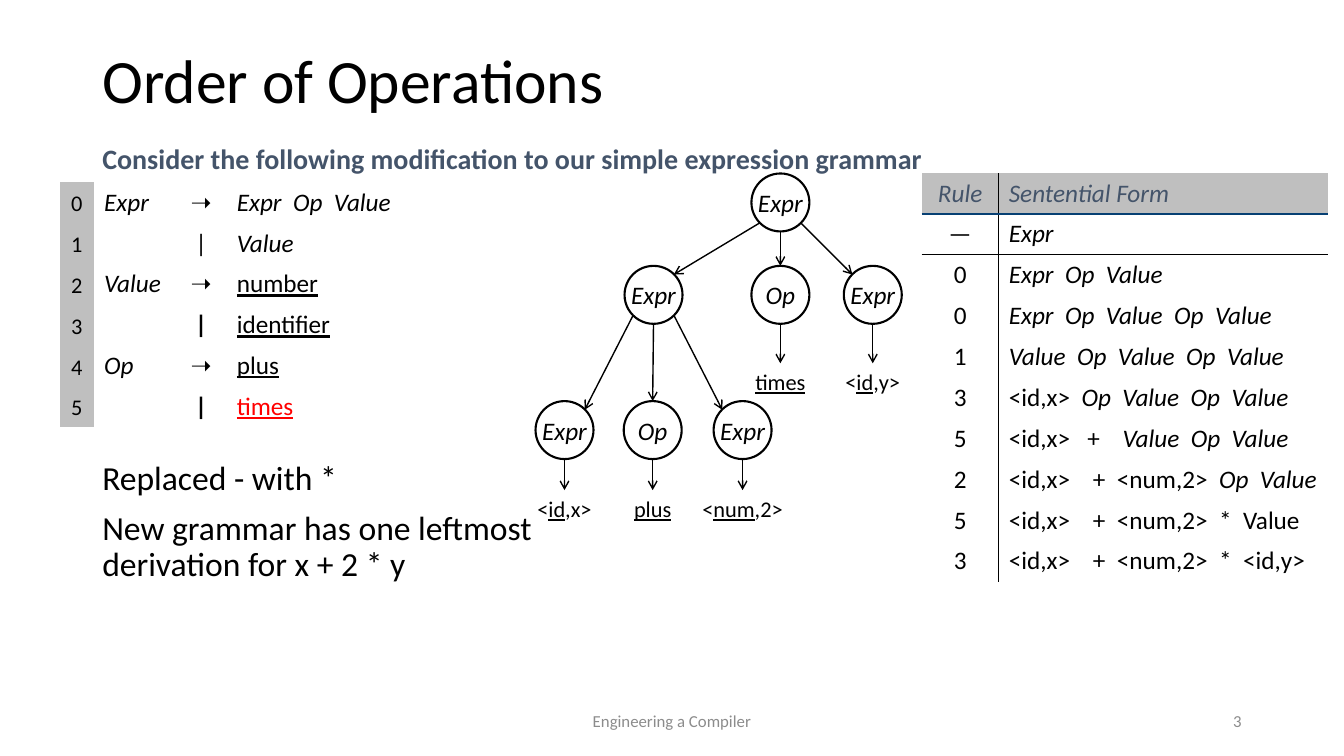
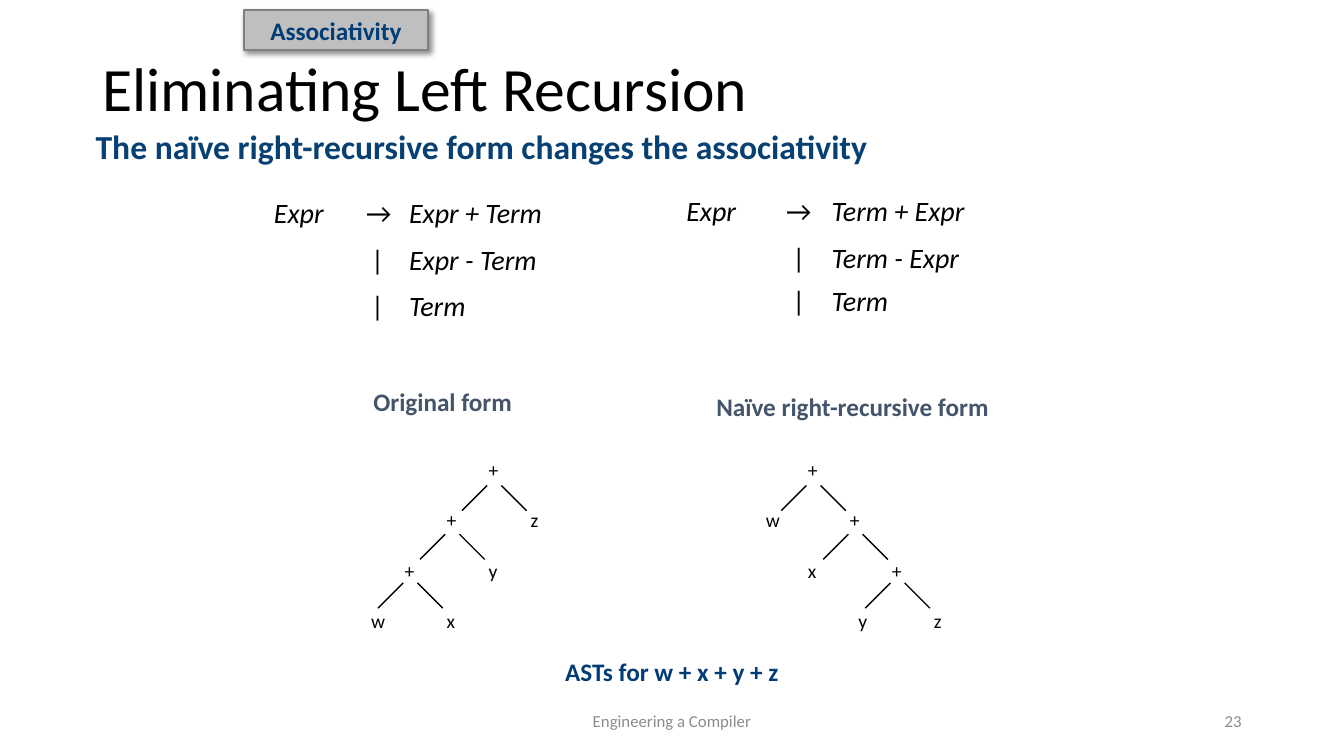
from dataclasses import dataclass
from itertools import groupby

from lxml import etree
from pptx import Presentation
from pptx.dml.color import RGBColor
from pptx.enum.shapes import MSO_CONNECTOR, MSO_SHAPE
from pptx.enum.text import MSO_ANCHOR, PP_ALIGN
from pptx.oxml.ns import qn
from pptx.util import Inches, Pt

LEFT, MID, RIGHT = PP_ALIGN.LEFT, PP_ALIGN.CENTER, PP_ALIGN.RIGHT
TOP, CENTER, BASE = MSO_ANCHOR.TOP, MSO_ANCHOR.MIDDLE, MSO_ANCHOR.BOTTOM
LINE = MSO_CONNECTOR.STRAIGHT
RECT, OVAL = MSO_SHAPE.RECTANGLE, MSO_SHAPE.OVAL
PLAIN = "{2D5ABB26-0587-4C30-8999-92F81FD0307C}"  # table style: no grid


@dataclass(frozen=True)
class Theme:
    font: str = "Calibri"
    ink: str = "000000"
    paper: str = "FFFFFF"
    slate: str = "44546A"
    navy: str = "003C75"
    teal: str = "074073"
    band: str = "BFBFBF"
    edge: str = "7F7F7F"
    mute: str = "8C8C8C"
    red: str = "FF0000"
    title: int = 44
    lead: int = 24
    head: int = 20
    text: int = 18
    leaf: int = 16
    tiny: int = 14
    foot: int = 12
    space: float = 0.226  # width of a space, as a share of the type size


T = Theme()


class Deck:
    """Places parts on a grid of 160 columns by 90 rows."""

    def __init__(self):
        self.prs = Presentation()
        self.prs.slide_width, self.prs.slide_height = Inches(13.333), Inches(7.5)
        self.unit = self.prs.slide_height / 90
        self.slide = None

    def grid(self, *spans):
        return [round(span * self.unit) for span in spans]

    # Slide with its title and footer
    def page(self, title, top, number):
        self.slide = self.prs.slides.add_slide(self.prs.slide_layouts[6])
        frame = self.box(11, top, 138, 17.4, CENTER)
        self.say(frame.paragraphs[0], [(title, "")], T.title, lead=0.9)
        for x, wide, text, side in ((53, 54, "Engineering a Compiler", MID),
                                    (113, 36, number, RIGHT)):
            frame = self.box(x, 83.4, wide, 4.8, CENTER)
            self.say(frame.paragraphs[0], [(text, "")], T.foot, T.mute, side)

    # Text: runs are (text, flags) or (text, flags, colour);
    # each underscore stands for one space width in a wide gap
    def say(self, para, runs, size, ink=T.ink, side=LEFT, lead=None, gap=None):
        para.alignment = side
        if lead:
            para.line_spacing = lead
        if gap is not None:
            para.space_before = Pt(gap)
        for text, flags, *tint in runs:
            for wide, chars in groupby(text, lambda char: char == "_"):
                part = "".join(chars)
                run = para.add_run()
                run.text = " " if wide else part
                font = run.font
                font.name, font.size = T.font, Pt(size)
                font.bold, font.italic = "b" in flags, "i" in flags
                font.underline = "u" in flags
                font.color.rgb = RGBColor.from_string(tint[0] if tint else ink)
                if wide:
                    extra = (len(part) - 1) * size * T.space
                    run._r.get_or_add_rPr().set("spc", str(round(extra * 100)))

    def box(self, x, y, wide, high, anchor=TOP):
        frame = self.slide.shapes.add_textbox(*self.grid(x, y, wide, high)).text_frame
        frame.word_wrap = True
        frame.vertical_anchor = anchor
        return frame

    def note(self, x, y, wide, high, runs, size, ink=T.ink, side=MID):
        self.say(self.box(x, y, wide, high).paragraphs[0], runs, size, ink, side)

    # Shapes
    def shape(self, kind, x, y, wide, high, fill, edge):
        item = self.slide.shapes.add_shape(kind, *self.grid(x, y, wide, high))
        item.shadow.inherit = False
        item.fill.solid()
        item.fill.fore_color.rgb = RGBColor.from_string(fill)
        item.line.color.rgb = RGBColor.from_string(edge)
        item.line.width = Pt(1.5)
        item.text_frame.vertical_anchor = CENTER
        return item

    def label(self, x, y, wide, text, ink, fill=T.paper, edge=T.paper):
        item = self.shape(RECT, x, y, wide, 4.8, fill, edge)
        self.say(item.text_frame.paragraphs[0], [(text, "b")], T.text, ink, MID)
        return item

    def shade(self, item):
        glow = item._element.spPr.find(qn("a:effectLst"))
        drop = etree.SubElement(glow, qn("a:outerShdw"), blurRad=str(Pt(4)),
                                dist=str(Pt(3)), dir=str(45 * 60000))
        tint = etree.SubElement(drop, qn("a:srgbClr"), val=T.ink)
        etree.SubElement(tint, qn("a:alpha"), val="43000")

    def node(self, x, y, size, text):
        item = self.shape(OVAL, x - size / 2, y - size / 2, size, size, T.paper, T.ink)
        frame = item.text_frame
        frame.word_wrap = False
        frame.margin_left = frame.margin_right = 0
        self.say(frame.paragraphs[0], [(text, "i")], T.text, side=MID)

    def line(self, x1, y1, x2, y2, arrow=False):
        item = self.slide.shapes.add_connector(LINE, *self.grid(x1, y1, x2, y2))
        item.line.color.rgb = RGBColor.from_string(T.ink)
        item.line.width = Pt(1)
        if arrow:
            etree.SubElement(item.line._get_or_add_ln(), qn("a:tailEnd"), type="arrow")
        etree.SubElement(item._element.spPr, qn("a:effectLst"))

    # Tables
    def table(self, x, y, cols, rows):
        spot = self.grid(x, y, sum(cols), sum(rows))
        grid = self.slide.shapes.add_table(len(rows), len(cols), *spot).table
        grid.first_row = grid.horz_banding = False
        grid._tbl.tblPr.find(qn("a:tableStyleId")).text = PLAIN
        for part, span in zip(grid.columns, self.grid(*cols)):
            part.width = span
        for part, span in zip(grid.rows, self.grid(*rows)):
            part.height = span
        return grid

    def cell(self, cell, runs, size=T.text, ink=T.ink, side=LEFT, fill=None,
             anchor=TOP, lead=None):
        cell.vertical_anchor = anchor
        if fill:
            cell.fill.solid()
            cell.fill.fore_color.rgb = RGBColor.from_string(fill)
        else:
            cell.fill.background()
        self.say(cell.text_frame.paragraphs[0], runs, size, ink, side, lead)

    def rule(self, cell, *sides):
        """Sides come in the order L, R, T, B as (side, colour, points)."""
        props = cell._tc.get_or_add_tcPr()
        for spot, (side, ink, wide) in enumerate(sides):
            edge = etree.Element(qn("a:ln" + side), w=str(Pt(wide)))
            fill = etree.SubElement(edge, qn("a:solidFill"))
            etree.SubElement(fill, qn("a:srgbClr"), val=ink)
            props.insert(spot, edge)


def order(deck):
    deck.page("Order of Operations", 1.3, "3")

    # Body text
    frame = deck.box(11, 16.7, 108, 66.7)
    lines = (("Consider the following modification to our simple expression grammar",
              "b", T.head, T.slate, 0),
             ("Replaced - with *", "", T.lead, T.ink, 204),
             ("New grammar has one leftmost", "", T.lead, T.ink, 10),
             ("derivation for x + 2 * y", "", T.lead, T.ink, 0))
    for spot, (text, flags, size, ink, gap) in enumerate(lines):
        para = frame.add_paragraph() if spot else frame.paragraphs[0]
        deck.say(para, [(text, flags)], size, ink, lead=0.9, gap=gap)

    # Grammar
    rules = ((("Expr", "i"), ("➝", "b"), ("Expr__Op__Value", "i")),
             (("", ""), ("|", ""), ("Value", "i")),
             (("Value", "i"), ("➝", "b"), ("number", "u")),
             (("", ""), ("|", "b"), ("identifier", "u")),
             (("Op", "i"), ("➝", "b"), ("plus", "u")),
             (("", ""), ("|", "b"), ("times", "u", T.red)))
    grid = deck.table(7.1, 21.7, (4.1, 9.7, 6.1, 21.8), [4.86] * len(rules))
    for row, parts in enumerate(rules):
        deck.cell(grid.cell(row, 0), [(str(row), "")], T.leaf, side=MID,
                  fill=T.band, anchor=BASE)
        for col, run in enumerate(parts, 1):
            deck.cell(grid.cell(row, col), [run], side=MID if col == 2 else LEFT)

    # Leftmost steps
    steps = (("Rule", [("Sentential Form", "i")]),
             ("—", [("Expr", "i")]),
             ("0", [("Expr__Op__Value", "i")]),
             ("0", [("Expr__Op__Value__Op__Value", "i")]),
             ("1", [("Value__Op__Value__Op__Value", "i")]),
             ("3", [("<id,x>__", ""), ("Op__Value__Op__Value", "i")]),
             ("5", [("<id,x>___+____", ""), ("Value__Op__Value", "i")]),
             ("2", [("<id,x>____+__<num,2>__", ""), ("Op__Value", "i")]),
             ("5", [("<id,x>____+__<num,2>__*__Value", "")]),
             ("3", [("<id,x>____+__<num,2>__*__<id,y>", "")]))
    grid = deck.table(109.7, 20.6, (9.2, 39.2), [4.87] * len(steps))
    under = {0: [("B", T.teal, 1.5)], 1: [("B", T.ink, 0.75)]}
    for row, (name, form) in enumerate(steps):
        ink, fill, flags = (T.ink, None, "") if row else (T.slate, T.band, "i")
        pair = grid.cell(row, 0), grid.cell(row, 1)
        deck.cell(pair[0], [(name, flags)], ink=ink, side=MID, fill=fill)
        deck.cell(pair[1], form, ink=ink, fill=fill)
        for cell, side in zip(pair, "RL"):
            deck.rule(cell, (side, T.ink, 0.75), *under.get(row, []))

    # Parse tree: centres of the nodes, then branches and leaves
    size = 6.9
    half, slant = size / 2, size * 0.35
    nodes = {"root": (92.9, 24.1, "Expr"), "left": (77.8, 35.1, "Expr"),
             "op": (92.9, 35.1, "Op"), "right": (103.9, 35.1, "Expr"),
             "a": (67.2, 51.2, "Expr"), "b": (77.7, 51.2, "Op"),
             "c": (88.4, 51.2, "Expr")}
    kids = {"root": ("left", "op", "right"), "left": ("a", "b", "c")}
    leaves = {"op": (4.7, [("times", "u")]),
              "right": (4.7, [("<", ""), ("id", "u"), (",y>", "")]),
              "a": (3.7, [("<", ""), ("id", "u"), (",x>", "")]),
              "b": (3.7, [("plus", "u")]),
              "c": (3.7, [("<", ""), ("num", "u"), (",2>", "")])}
    for x, y, text in nodes.values():
        deck.node(x, y, size, text)
    for top, group in kids.items():
        x, y, _ = nodes[top]
        for kid, way in zip(group, (-1, 0, 1)):
            kx, ky, _ = nodes[kid]
            drop = slant if way else half
            deck.line(x + way * slant, y + drop, kx - way * slant, ky - drop, True)
    for name, (drop, runs) in leaves.items():
        x, y, _ = nodes[name]
        deck.line(x, y + half, x, y + half + drop, True)
        deck.note(x - 6.6, y + half + drop, 13.2, 4.1, runs, T.leaf)


def chain(deck, left, way, words):
    """Draws a syntax tree that leans left (-1) or right (1)."""
    def mark(x, y, text):
        deck.note(x, y, 4, 4.1, [(text, "")], T.tiny, side=LEFT)

    for level in range(3):
        x, y, low = left + way * 5 * level, 53.9 + 6 * level, 57.8 + 5.8 * level
        mark(x, y, "+")
        deck.line(x + 1, low, x - 2, low + 3)
        deck.line(x + 2.7, low, x + 5.7, low + 3)
        if level < 2:
            mark(x - way * 5, y + 6, words[level])
    mark(x - 4, y + 6, words[2])
    mark(x + 5, y + 6, words[3])


def recur(deck):
    deck.page("Eliminating Left Recursion", 2.2, "23")
    frame = deck.box(10.2, 14.9, 124.2, 67)
    deck.say(frame.paragraphs[0],
             [("The naïve right-recursive form changes the associativity", "b")],
             T.lead, T.teal, lead=0.9)
    deck.shade(deck.label(29, 1.2, 22, "Associativity", T.navy, T.band, T.edge))

    # Both grammars
    forms = ((31.4, 23.3, (11, 5.1, 22.9), (5.5, 5.5, 4.9),
              ("Expr + Term", "Expr - Term", "Term")),
             (80.5, 23, (11.9, 5.4, 24.7), (5.6, 5.1, 4.9),
              ("Term + Expr", "Term - Expr", "Term")))
    for x, y, cols, rows, ends in forms:
        grid = deck.table(x, y, cols, rows)
        for row, end in enumerate(ends):
            name, sign = ("", "|") if row else ("Expr", "→")
            for col, run in enumerate(((name, "i"), (sign, ""), (end, "i"))):
                deck.cell(grid.cell(row, col), [run], T.head,
                          side=MID if col == 1 else LEFT, lead=Pt(22))

    # Captions and trees
    deck.label(32.2, 45.4, 41, "Original form", T.slate)
    deck.label(81, 46, 41, "Naïve right-recursive form", T.slate)
    chain(deck, 57, -1, "zywx")
    chain(deck, 95, 1, "wxyz")
    deck.label(62.5, 77.5, 35, "ASTs for w + x + y + z", T.navy)


def main():
    deck = Deck()
    order(deck)
    recur(deck)
    deck.prs.save("out.pptx")


if __name__ == "__main__":
    main()
